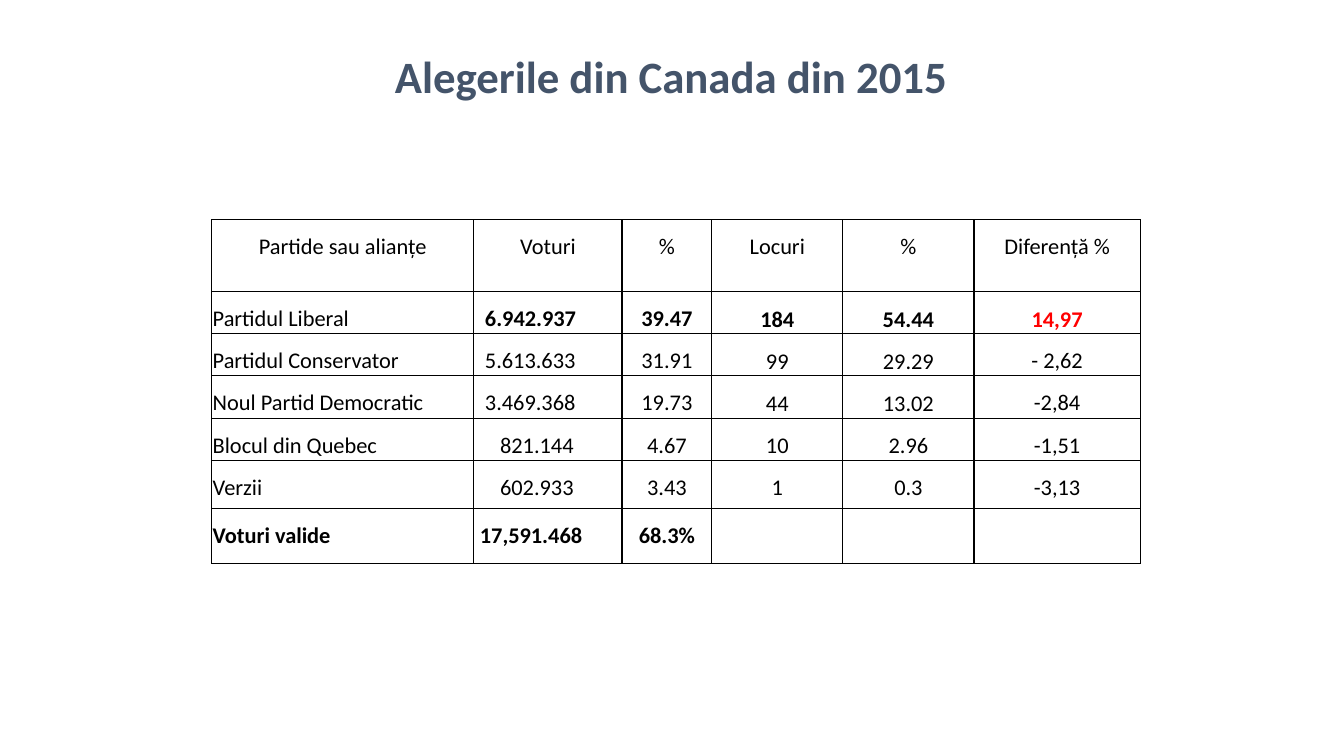
from lxml import etree
from pptx import Presentation
from pptx.dml.color import RGBColor
from pptx.enum.text import MSO_ANCHOR, PP_ALIGN
from pptx.oxml.ns import qn
from pptx.util import Inches, Pt

CENTER, JUSTIFY = PP_ALIGN.CENTER, PP_ALIGN.JUSTIFY
MIDDLE = MSO_ANCHOR.MIDDLE
BLACK = RGBColor(0x00, 0x00, 0x00)
WHITE = RGBColor(0xFF, 0xFF, 0xFF)
RED = RGBColor(0xFF, 0x00, 0x00)
SLATE = RGBColor(0x44, 0x54, 0x6A)

WIDTHS = [2.6, 1.47, 0.89, 1.3, 1.3, 1.65]
HEIGHTS = [0.71, 0.42, 0.42, 0.42, 0.42, 0.48, 0.54]
VOTE_PADS = [0.01, 0.11, 0.11, 0.11, 0.26, 0.26, 0.06]
BOLD_CELLS = {(1, col) for col in range(1, 6)} | {(6, col) for col in range(3)}
LOW_CELLS = {(row, col) for row in (1, 2, 3) for col in (3, 4)} | {(1, 5)}
ROWS = [
    ["Partide sau alianțe", "Voturi", "%", "Locuri", "%", "Diferență %"],
    ["Partidul Liberal", "6.942.937", "39.47", "184", "54.44", "14,97"],
    ["Partidul Conservator", "5.613.633", "31.91", "99", "29.29", "- 2,62"],
    ["Noul Partid Democratic", "3.469.368", "19.73", "44", "13.02", "-2,84"],
    ["Blocul din Quebec", "821.144", "4.67", "10", "2.96", "-1,51"],
    ["Verzii", "602.933", "3.43", "1", "0.3", "-3,13"],
    ["Voturi valide", "17,591.468", "68.3%", "", "", ""],
]


class Deck:
    """Holds the text style and the current slide."""

    def __init__(self, slide, face="Calibri"):
        self.slide = slide
        self.face = face

    def label(self, frame, text, size, color, bold, align, space=1.0):
        para = frame.paragraphs[0]
        para.alignment = align
        para.line_spacing = space
        run = para.add_run()
        run.text = text
        style = {"name": self.face, "size": Pt(size), "bold": bold}
        for key, value in style.items():
            setattr(run.font, key, value)
        run.font.color.rgb = color

    def title(self, text, left, top, width, height):
        box = self.slide.shapes.add_textbox(
            Inches(left), Inches(top), Inches(width), Inches(height))
        frame = box.text_frame
        for key, value in {"word_wrap": True, "vertical_anchor": MIDDLE}.items():
            setattr(frame, key, value)
        self.label(frame, text, 32, SLATE, True, CENTER)

    def border(self, cell, width=1):
        props = cell._tc.get_or_add_tcPr()
        for side in ("lnL", "lnR", "lnT", "lnB"):
            line = etree.SubElement(props, qn(f"a:{side}"), w=str(Pt(width)))
            fill = etree.SubElement(line, qn("a:solidFill"))
            etree.SubElement(fill, qn("a:srgbClr"), val=str(BLACK))

    def cell(self, cell, row, col, text):
        self.border(cell)
        cell.fill.solid()
        cell.fill.fore_color.rgb = WHITE
        pad = 0.01 if (row, col) in LOW_CELLS else 0
        left = VOTE_PADS[row] if col == 1 else 0.01
        margins = {"margin_left": left, "margin_right": 0.01,
                   "margin_top": pad, "margin_bottom": pad}
        for key, value in margins.items():
            setattr(cell, key, Inches(value))
        if text:
            color = RED if (row, col) == (1, 5) else BLACK
            align = JUSTIFY if row and col < 2 else CENTER
            bold = (row, col) in BOLD_CELLS
            self.label(cell.text_frame, text, 16, color, bold, align, 1.5)

    def table(self, rows, left, top):
        frame = self.slide.shapes.add_table(
            len(rows), len(WIDTHS), Inches(left), Inches(top),
            Inches(sum(WIDTHS)), Inches(sum(HEIGHTS)))
        table = frame.table
        for key, value in {"first_row": False, "horz_banding": False}.items():
            setattr(table, key, value)
        for column, width in zip(table.columns, WIDTHS):
            column.width = Inches(width)
        for row, texts in enumerate(rows):
            table.rows[row].height = Inches(HEIGHTS[row])
            for col, text in enumerate(texts):
                self.cell(table.cell(row, col), row, col, text)


def main():
    show = Presentation()
    show.slide_width, show.slide_height = Inches(13.33), Inches(7.5)
    deck = Deck(show.slides.add_slide(show.slide_layouts[6]))
    deck.title("Alegerile din Canada din 2015", 2.41, 0.44, 8.5, 0.62)
    deck.table(ROWS, 2.1, 2.18)
    show.save("out.pptx")


if __name__ == "__main__":
    main()
